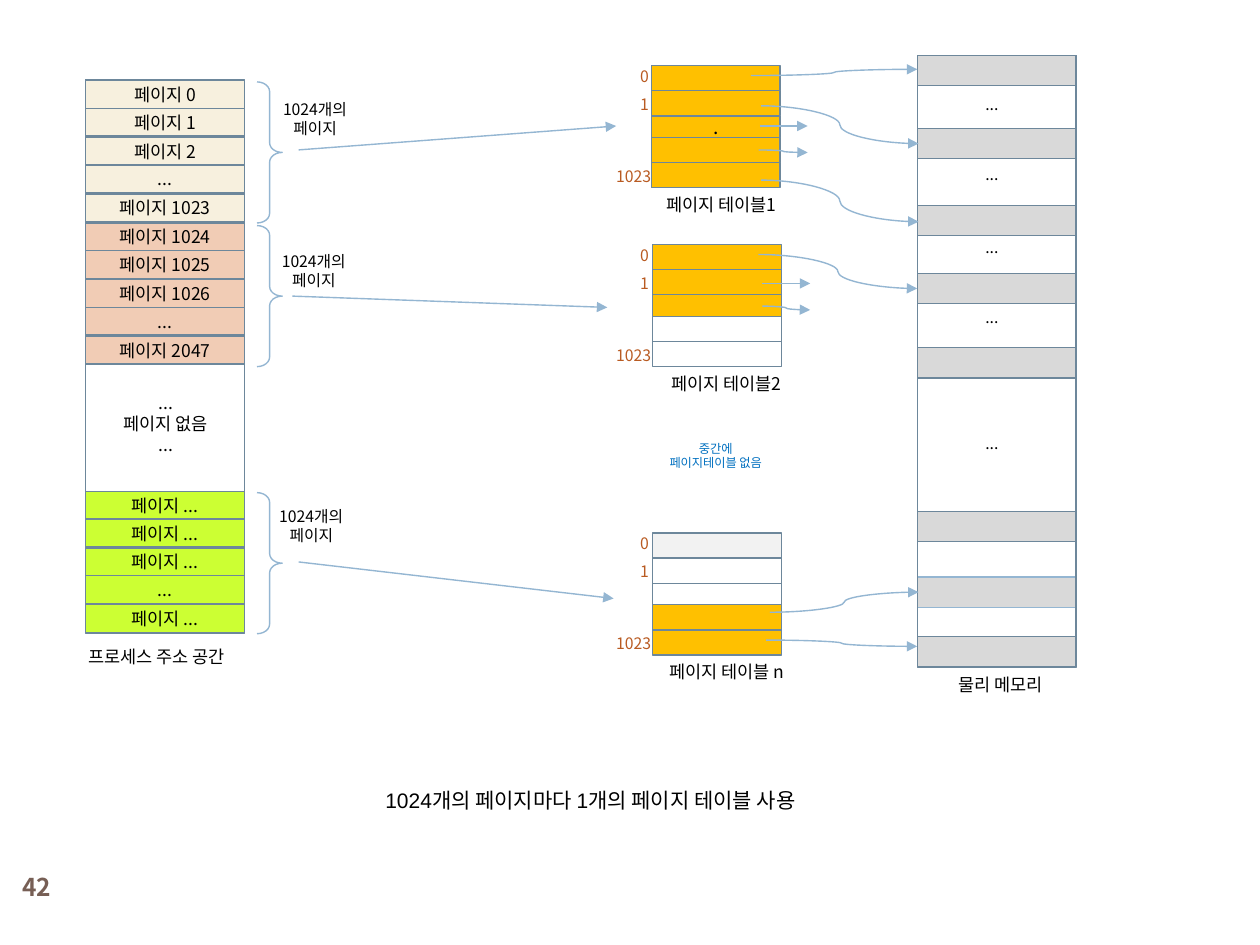
from dataclasses import dataclass
from itertools import accumulate

from lxml import etree
from pptx import Presentation
from pptx.dml.color import RGBColor
from pptx.enum.shapes import MSO_CONNECTOR, MSO_SHAPE
from pptx.enum.text import MSO_ANCHOR, MSO_AUTO_SIZE, PP_ALIGN
from pptx.oxml.ns import qn
from pptx.util import Emu, Pt

STRAIGHT, CURVE = MSO_CONNECTOR.STRAIGHT, MSO_CONNECTOR.CURVE
RECTANGLE, RIGHT_BRACE = MSO_SHAPE.RECTANGLE, MSO_SHAPE.RIGHT_BRACE
MIDDLE = MSO_ANCHOR.MIDDLE
FIT_TEXT = MSO_AUTO_SIZE.SHAPE_TO_FIT_TEXT
LEFT, CENTER, JUSTIFY = PP_ALIGN.LEFT, PP_ALIGN.CENTER, PP_ALIGN.JUSTIFY

EMU_PER_PX = 9144
KOREAN_FONT = "Noto Sans CJK KR"

BLACK = RGBColor(0x00, 0x00, 0x00)
WHITE = RGBColor(0xFF, 0xFF, 0xFF)
CREAM = RGBColor(0xF7, 0xF0, 0xDE)
PEACH = RGBColor(0xF1, 0xCC, 0xB5)
LIME = RGBColor(0xCC, 0xFF, 0x33)
AMBER = RGBColor(0xFF, 0xC0, 0x00)
PALE_GRAY = RGBColor(0xF2, 0xF2, 0xF2)
FRAME_GRAY = RGBColor(0xD9, 0xD9, 0xD9)
OUTLINE = RGBColor(0x6D, 0x87, 0x9B)
SKY = RGBColor(0x94, 0xB6, 0xD2)
RUST = RGBColor(0xB9, 0x5B, 0x22)
NOTE_BLUE = RGBColor(0x00, 0x70, 0xC0)
BROWN = RGBColor(0x77, 0x5F, 0x55)

Box = tuple[int, int, int, int]
Arrow = tuple[int, int, int, int]


@dataclass(frozen=True)
class TextStyle:
    size: int
    color: RGBColor = BLACK
    align: PP_ALIGN = CENTER
    font: str = KOREAN_FONT
    bold: bool = False
    line_spacing: float | None = None


@dataclass(frozen=True)
class PageGroup:
    top: int
    fill: RGBColor
    pages: list[str]
    brace_top: int
    label_at: tuple[int, int]
    arrow: Arrow


@dataclass(frozen=True)
class PageTable:
    left: int
    top: int
    fills: list[RGBColor | None]
    caption: str
    caption_left: int
    caption_width: int
    arrows: list[Arrow]
    middle_mark: str = ""


PAGE_TEXT = TextStyle(10)
NAME_TEXT = TextStyle(10, align=LEFT)
COUNT_TEXT = TextStyle(9)
DOTS_TEXT = TextStyle(9, align=LEFT)
INDEX_TEXT = TextStyle(9, RUST, LEFT)
MARK_TEXT = TextStyle(11)
NOTE_TEXT = TextStyle(7, NOTE_BLUE)
SUMMARY_TEXT = TextStyle(12, align=JUSTIFY, font="Arial", line_spacing=1.6)
NUMBER_TEXT = TextStyle(14, BROWN, bold=True)

PAGE_GROUPS = [
    PageGroup(64, CREAM, ["페이지 0", "페이지 1", "페이지 2", "...", "페이지 1023"],
              65, (211, 74), (237, 119, 489, 100)),
    PageGroup(177, PEACH, ["페이지 1024", "페이지 1025", "페이지 1026", "...", "페이지 2047"],
              179, (210, 195), (232, 235, 482, 244)),
    PageGroup(390, LIME, ["페이지 ...", "페이지 ...", "페이지 ...", "...", "페이지 ..."],
              391, (208, 397), (237, 446, 487, 475)),
]
PAGE_TABLES = [
    PageTable(517, 52, [AMBER] * 5, "페이지 테이블1", 514, 117,
              [(596, 60, 728, 55), (604, 84, 729, 114), (604, 143, 729, 176),
               (603, 100, 641, 100), (602, 119, 641, 121)], "."),
    PageTable(518, 194, [AMBER, AMBER, AMBER, WHITE, WHITE], "페이지 테이블2", 518, 117,
              [(602, 202, 728, 229), (605, 225, 643, 225), (605, 243, 643, 246)]),
    PageTable(518, 423, [PALE_GRAY, None, None, AMBER, AMBER], "페이지 테이블 n", 516, 122,
              [(611, 486, 729, 470), (608, 508, 728, 513)]),
]
ENTRY_HEIGHTS = [20, 20, 17, 20, 20]
ENTRY_OFFSETS = list(accumulate(ENTRY_HEIGHTS, initial=0))
INDEX_LABELS = [("0", 508, 1), ("1", 508, 23), ("1023", 489, 80)]
MEMORY_FRAMES = [(44, OUTLINE), (102, OUTLINE), (163, OUTLINE), (217, OUTLINE),
                 (276, OUTLINE), (406, OUTLINE), (458, SKY), (505, OUTLINE)]
MEMORY_DOTS = [75, 131, 189, 244, 344]


def px(length: int) -> Emu:
    return Emu(length * EMU_PER_PX)


def write(frame, text: str, style: TextStyle) -> None:
    frame.text = text
    for paragraph in frame.paragraphs:
        paragraph.alignment = style.align
        if style.line_spacing:
            paragraph.line_spacing = style.line_spacing
        font = paragraph.font
        font.size = Pt(style.size)
        font.bold = style.bold
        font.color.rgb = style.color
        font.name = style.font
        defaults = paragraph._p.get_or_add_pPr().get_or_add_defRPr()
        etree.SubElement(defaults, qn("a:ea")).set("typeface", KOREAN_FONT)


def clear_insets(frame) -> None:
    frame.margin_left = frame.margin_right = 0
    frame.margin_top = frame.margin_bottom = 0


def add_label(slide, box: Box, text: str, style: TextStyle, tight: bool = False) -> None:
    frame = slide.shapes.add_textbox(*map(px, box)).text_frame
    frame.word_wrap = False
    frame.auto_size = FIT_TEXT
    if tight:
        clear_insets(frame)
    write(frame, text, style)


def add_outline(slide, kind: MSO_SHAPE, box: Box, fill: RGBColor | None,
                line: RGBColor = OUTLINE, weight: float = 0.75):
    shape = slide.shapes.add_shape(kind, *map(px, box))
    shape.shadow.inherit = False
    if fill is None:
        shape.fill.background()
    else:
        shape.fill.solid()
        shape.fill.fore_color.rgb = fill
    shape.line.color.rgb = line
    shape.line.width = Pt(weight)
    return shape


def add_cell(slide, box: Box, fill: RGBColor | None, text: str, style: TextStyle) -> None:
    frame = add_outline(slide, RECTANGLE, box, fill).text_frame
    if text:
        frame.vertical_anchor = MIDDLE
        clear_insets(frame)
        write(frame, text, style)


def add_arrow(slide, kind: MSO_CONNECTOR, ends: Arrow) -> None:
    arrow = slide.shapes.add_connector(kind, *map(px, ends))
    arrow.line.color.rgb = SKY
    arrow.line.width = Pt(0.79)
    etree.SubElement(arrow.line._get_or_add_ln(), qn("a:tailEnd")).set("type", "triangle")
    etree.SubElement(arrow._element.spPr, qn("a:effectLst"))


def add_page_group(slide, group: PageGroup) -> None:
    for row, page in enumerate(group.pages):
        add_cell(slide, (68, group.top + row * 45 // 2, 126, 22), group.fill, page, PAGE_TEXT)
    brace = add_outline(slide, RIGHT_BRACE, (204, group.brace_top, 20, 112), None, SKY, 0.79)
    brace.adjustments[0] = 0.384
    add_label(slide, (*group.label_at, 78, 40), "1024개의\n페이지", COUNT_TEXT)
    add_arrow(slide, STRAIGHT, group.arrow)


def add_page_table(slide, table: PageTable) -> None:
    for row, (offset, height, fill) in enumerate(zip(ENTRY_OFFSETS, ENTRY_HEIGHTS, table.fills)):
        mark = table.middle_mark if row == 2 else ""
        add_cell(slide, (table.left, table.top + offset, 102, height), fill, mark, MARK_TEXT)
    for index, left, offset in INDEX_LABELS:
        add_label(slide, (left, table.top + offset, 7 * len(index), 15), index, INDEX_TEXT, True)
    add_label(slide, (table.caption_left, table.top + 97, table.caption_width, 27),
              table.caption, PAGE_TEXT)


def main() -> None:
    deck = Presentation()
    deck.slide_width, deck.slide_height = px(1000), px(750)
    slide = deck.slides.add_slide(deck.slide_layouts[6])

    add_outline(slide, RECTANGLE, (68, 63, 126, 440), None)
    for group in PAGE_GROUPS:
        add_page_group(slide, group)
    add_label(slide, (84, 306, 95, 61), "...\n페이지 없음\n...", PAGE_TEXT)
    add_label(slide, (70, 513, 122, 17), "프로세스 주소 공간", NAME_TEXT, True)

    for table in PAGE_TABLES:
        add_page_table(slide, table)
    add_label(slide, (517, 345, 102, 34), "중간에\n페이지테이블 없음", NOTE_TEXT)

    for top, line in MEMORY_FRAMES:
        add_outline(slide, RECTANGLE, (728, top, 126, 24), FRAME_GRAY, line)
    add_outline(slide, RECTANGLE, (728, 44, 126, 486), None)
    for top in MEMORY_DOTS:
        add_label(slide, (782, top, 17, 15), "...", DOTS_TEXT, True)
    add_label(slide, (761, 535, 93, 17), "물리 메모리", NAME_TEXT, True)
    for table in PAGE_TABLES:
        for ends in table.arrows:
            add_arrow(slide, CURVE, ends)

    add_label(slide, (296, 608, 383, 42), "1024개의 페이지마다 1개의 페이지 테이블 사용", SUMMARY_TEXT)
    number = slide.shapes.add_textbox(*map(px, (0, 683, 58, 42))).text_frame
    number.word_wrap = True
    number.vertical_anchor = MIDDLE
    write(number, "42", NUMBER_TEXT)
    deck.save("out.pptx")


if __name__ == "__main__":
    main()
